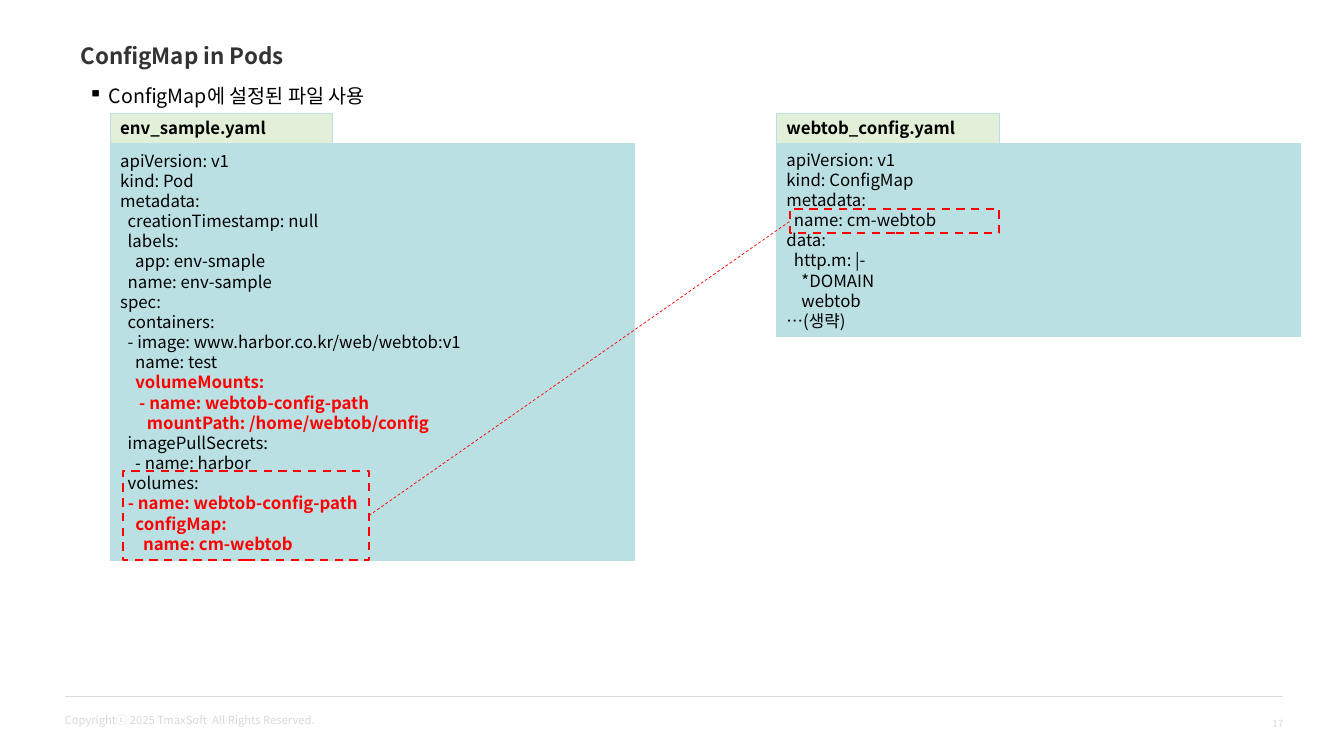
from lxml import etree
from pptx import Presentation
from pptx.dml.color import RGBColor
from pptx.enum.dml import MSO_LINE
from pptx.enum.shapes import MSO_CONNECTOR, MSO_SHAPE
from pptx.enum.text import MSO_ANCHOR, PP_ALIGN
from pptx.oxml.ns import qn
from pptx.util import Cm, Pt

RECT = MSO_SHAPE.RECTANGLE
STRAIGHT = MSO_CONNECTOR.STRAIGHT
DASH = MSO_LINE.DASH
MIDDLE = MSO_ANCHOR.MIDDLE
LEFT, RIGHT = PP_ALIGN.LEFT, PP_ALIGN.RIGHT

FONT = "Noto Sans CJK KR"
BLACK, RED, TEAL, GREEN = "000000", "FF0000", "BBE0E3", "E2F0D9"
PALE, RULE, TITLE = "D9D9D9", "DBDBDB", "333333"
LEFT_SIDE, RIGHT_SIDE = 1, 3
TAB_W, TAB_H = 5.61, 0.76

POD = """apiVersion: v1
kind: Pod
metadata:
  creationTimestamp: null
  labels:
    app: env-smaple
  name: env-sample
spec:
  containers:
  - image: www.harbor.co.kr/web/webtob:v1
    name: test
    volumeMounts:
     - name: webtob-config-path
       mountPath: /home/webtob/config
  imagePullSecrets:
    - name: harbor
  volumes:
  - name: webtob-config-path
    configMap:
      name: cm-webtob"""
POD_RED = {11, 12, 13, 17, 18, 19}

CONFIG_MAP = """apiVersion: v1
kind: ConfigMap
metadata:
  name: cm-webtob
data:
  http.m: |-
    *DOMAIN
    webtob
…(생략)"""


def rgb(value):
    """Turn a hex string into a colour."""
    return RGBColor.from_string(value)


def style(p, size, color, bold=False, align=LEFT):
    """Format a whole paragraph."""
    p.alignment = align
    p.font.name, p.font.size, p.font.bold = FONT, Pt(size), bold
    p.font.color.rgb = rgb(color)
    props = p._p.pPr.find(qn("a:defRPr"))
    etree.SubElement(props, qn("a:ea")).set("typeface", FONT)


def frame(sp, wrap=True):
    """Centre text vertically between side insets only."""
    tf = sp.text_frame
    tf.word_wrap, tf.vertical_anchor = wrap, MIDDLE
    tf.margin_left = tf.margin_right = Cm(0.25)
    tf.margin_top = tf.margin_bottom = 0
    return tf


def add_text(s, box, text, size, color, wrap=True, align=LEFT):
    """Add a one-line text box."""
    tf = frame(s.shapes.add_textbox(*map(Cm, box)), wrap)
    tf.text = text
    style(tf.paragraphs[0], size, color, align=align)


def add_rect(s, box, fill, line, width):
    """Add a rectangle, hollow when fill is None."""
    sp = s.shapes.add_shape(RECT, *map(Cm, box))
    sp.shadow.inherit = False
    if fill:
        sp.fill.solid()
        sp.fill.fore_color.rgb = rgb(fill)
    else:
        sp.fill.background()
    sp.line.color.rgb, sp.line.width = rgb(line), Pt(width)
    return sp


def add_line(s, start, end, color):
    """Add a thin straight line without shadow."""
    line = s.shapes.add_connector(STRAIGHT, *map(Cm, start + end))
    line.line.color.rgb, line.line.width = rgb(color), Pt(0.5)
    etree.SubElement(line._element.spPr, qn("a:effectLst"))
    return line


def add_heading(s, box):
    """Place the title and the bullet below it."""
    x, y, w, h = box
    title = s.shapes.title
    title.left, title.top, title.width, title.height = map(Cm, (x, y, 14.55, 0.94))
    tf = frame(title)
    tf.text = "ConfigMap in Pods"
    style(tf.paragraphs[0], 16, TITLE, bold=True)

    tf = frame(s.shapes.add_textbox(Cm(x + 0.2), Cm(y + 1.04), Cm(w - 0.2), Cm(h - 1.04)))
    tf.text = "ConfigMap에 설정된 파일 사용"
    p = tf.paragraphs[0]
    props = p._p.get_or_add_pPr()
    props.set("marL", str(Cm(0.51)))
    props.set("indent", str(-Cm(0.51)))
    etree.SubElement(props, qn("a:buChar")).set("char", "▪")
    style(p, 14, BLACK)


def add_file(s, box, name, code, red=()):
    """Draw a code panel with a file name tab on top."""
    x, y, w, h = box
    tf = frame(add_rect(s, (x, y + TAB_H, w, h - TAB_H), TEAL, TEAL, 0.75))
    tf.text = code
    for i, p in enumerate(tf.paragraphs):
        p.line_spacing = Pt(14.4)
        style(p, 12, RED if i in red else BLACK, bold=i in red)
    tf = frame(add_rect(s, (x, y, TAB_W, TAB_H), GREEN, TEAL, 0.75))
    tf.text = name
    style(tf.paragraphs[0], 12, BLACK, bold=True)


def add_reference(s, source_box, target_box):
    """Frame two code passages and join them."""
    source, target = (add_rect(s, box, None, RED, 1.5) for box in (source_box, target_box))
    link = add_line(s, (0, 0), (1, 1), RED)
    link.begin_connect(source, RIGHT_SIDE)
    link.end_connect(target, LEFT_SIDE)
    for sp in (source, target, link):
        sp.line.dash_style = DASH


def add_footer(s, box):
    """Draw the rule, copyright line and page number."""
    x, y, w, h = box
    add_line(s, (x, y), (x + w, y), RULE)
    add_text(s, (x - 0.25, y + 0.3, 6.86, 0.61),
             "Copyrightⓒ 2025 TmaxSoft  All Rights Reserved.", 8, PALE, wrap=False)
    add_text(s, (x + w - 2.42, y - 0.15, 2.67, h + 0.15), "17", 7, PALE, align=RIGHT)


def main():
    """Build and save the slide."""
    prs = Presentation()
    prs.slide_width, prs.slide_height = Cm(33.87), Cm(19.05)
    s = prs.slides.add_slide(prs.slide_layouts[5])
    add_footer(s, (1.63, 17.55, 30.71, 1.5))
    add_heading(s, (1.78, 0.94, 27.58, 1.9))
    add_file(s, (2.78, 2.85, 13.21, 11.28), "env_sample.yaml", POD, POD_RED)
    add_file(s, (19.57, 2.85, 13.21, 5.64), "webtob_config.yaml", CONFIG_MAP)
    add_reference(s, (3.1, 11.86, 6.2, 2.26), (19.92, 5.26, 5.26, 0.61))
    prs.save("out.pptx")


if __name__ == "__main__":
    main()
